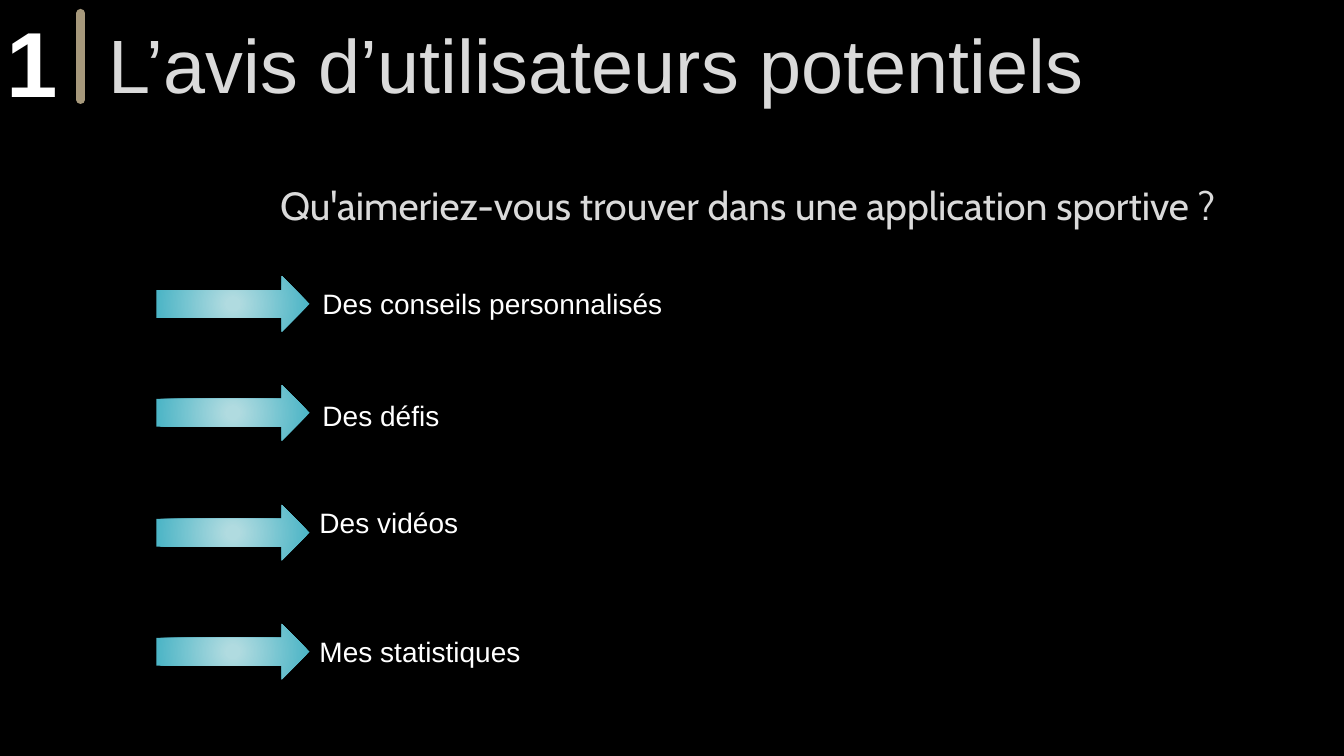
from dataclasses import dataclass

from lxml import etree
from pptx import Presentation
from pptx.dml.color import RGBColor
from pptx.enum.shapes import MSO_CONNECTOR, MSO_SHAPE
from pptx.enum.text import MSO_ANCHOR
from pptx.oxml import parse_xml
from pptx.oxml.ns import nsdecls, qn
from pptx.util import Inches, Pt

STRAIGHT = MSO_CONNECTOR.STRAIGHT
RIGHT_ARROW = MSO_SHAPE.RIGHT_ARROW
TOP, MIDDLE = MSO_ANCHOR.TOP, MSO_ANCHOR.MIDDLE


@dataclass(frozen=True)
class Theme:
    background: RGBColor = RGBColor(0x00, 0x00, 0x00)
    heading: RGBColor = RGBColor(0xDA, 0xDA, 0xDA)
    body: RGBColor = RGBColor(0xFF, 0xFF, 0xFF)
    bar: RGBColor = RGBColor(0xA7, 0x99, 0x7C)
    arrow_center: RGBColor = RGBColor(0xB0, 0xDB, 0xE0)
    arrow_edge: RGBColor = RGBColor(0x4D, 0xB5, 0xC6)
    font: str = "Arial"
    question_font: str = "Cabin"
    number_size: int = 66
    title_size: int = 54
    question_size: int = 28
    answer_size: int = 20
    bar_width: int = 6


THEME = Theme()

# Answer, arrow top, and text offset from the arrow's left and top
ANSWERS = [
    ("Des conseils personnalisés", 2.74, 1.55, 0.05),
    ("Des défis", 3.82, 1.55, 0.08),
    ("Des vidéos", 5.01, 1.52, -0.04),
    ("Mes statistiques", 6.19, 1.52, 0.06),
]


def add_text(s, text, box, size, color, font=THEME.font, bold=False, anchor=TOP):
    tb = s.shapes.add_textbox(*(Inches(v) for v in box))
    tf = tb.text_frame
    tf.word_wrap = True
    tf.vertical_anchor = anchor
    p = tf.paragraphs[0]
    p.text = text
    p.font.name = font
    p.font.size = Pt(size)
    p.font.bold = bold
    p.font.color.rgb = color


def add_arrow(s, left, top, width, height):
    sp = s.shapes.add_shape(RIGHT_ARROW, Inches(left), Inches(top),
                            Inches(width), Inches(height))
    sp.shadow.inherit = False
    sp.line.fill.background()
    sp.fill.gradient()
    center, edge = sp.fill.gradient_stops
    center.position, center.color.rgb = 0.08, THEME.arrow_center
    edge.position, edge.color.rgb = 0.93, THEME.arrow_edge
    # Radial gradient spreading from the middle
    lin = sp.element.spPr.find(qn("a:gradFill")).find(qn("a:lin"))
    lin.getparent().replace(lin, parse_xml(
        f'<a:path {nsdecls("a")} path="circle">'
        '<a:fillToRect l="50000" t="50000" r="50000" b="50000"/></a:path>'))


def add_header(s, left, top):
    # Section number
    add_text(s, "1", (left - 0.03, top, 0.63, 1.21), THEME.number_size,
             THEME.body, bold=True)
    # Round-ended bar
    x = Inches(left + 0.8)
    bar = s.shapes.add_connector(STRAIGHT, x, Inches(top + 0.13),
                                 x, Inches(top + 0.99))
    bar.line.color.rgb = THEME.bar
    bar.line.width = Pt(THEME.bar_width)
    bar.line._get_or_add_ln().set("cap", "rnd")
    etree.SubElement(bar.element.spPr, qn("a:effectLst"))
    # Title
    add_text(s, "L’avis d’utilisateurs potentiels",
             (left + 0.98, top - 0.4, 10.43, 2.05), THEME.title_size,
             THEME.heading, anchor=MIDDLE)


def add_answers(s, left):
    for text, top, dx, dy in ANSWERS:
        add_arrow(s, left, top, 1.52, 0.55)
        add_text(s, text, (left + dx, top + dy, 6.38, 0.44),
                 THEME.answer_size, THEME.body)


def main():
    prs = Presentation()
    prs.slide_width, prs.slide_height = Inches(13.33), Inches(7.5)
    s = prs.slides.add_slide(prs.slide_layouts[6])
    s.background.fill.solid()
    s.background.fill.fore_color.rgb = THEME.background

    add_header(s, 0, 0)
    add_text(s, "Qu'aimeriez-vous trouver dans une application sportive ?",
             (2.68, 1.75, 9.92, 0.57), THEME.question_size, THEME.heading,
             font=THEME.question_font)
    add_answers(s, 1.55)
    prs.save("out.pptx")


if __name__ == "__main__":
    main()
